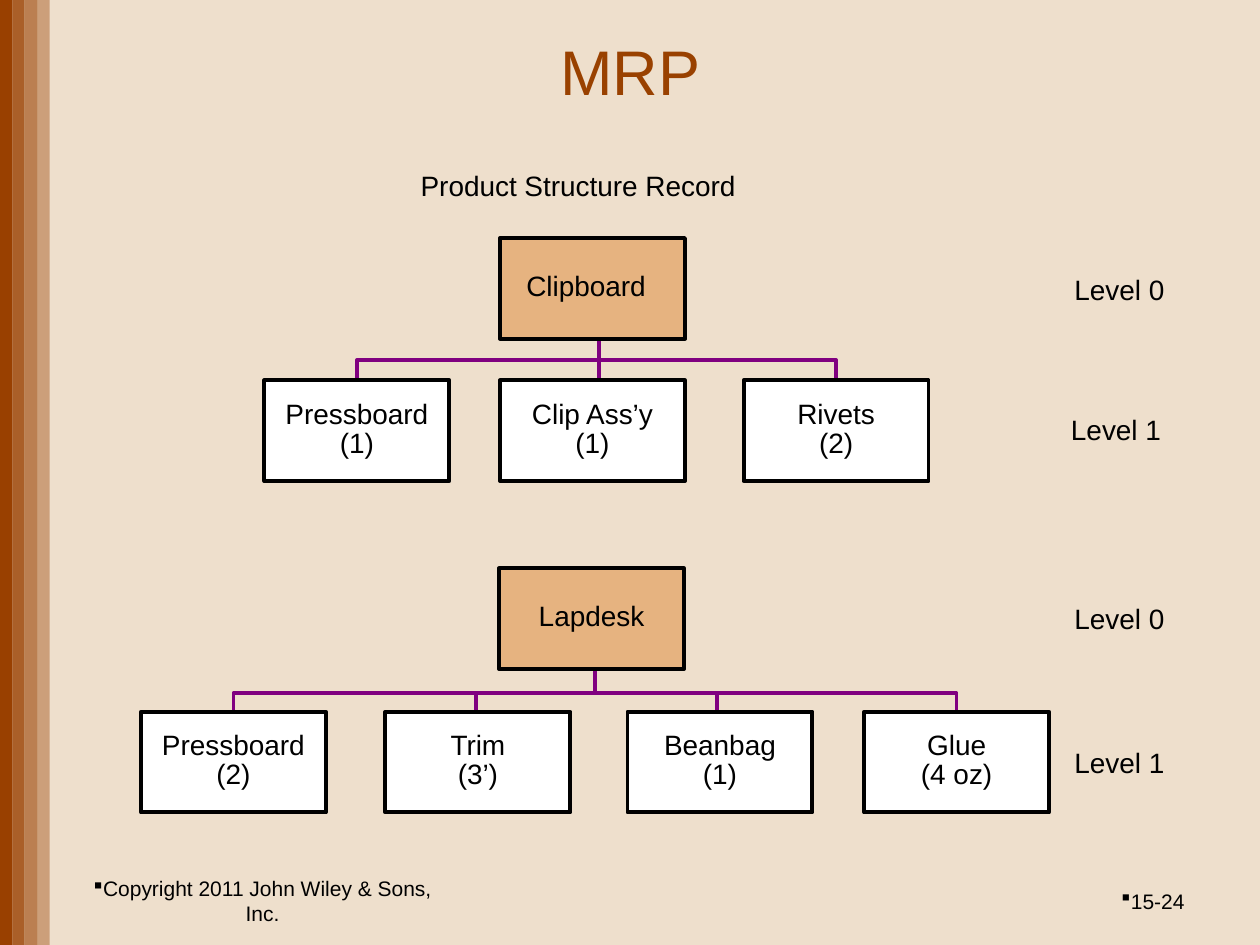
from lxml import etree
from pptx import Presentation
from pptx.dml.color import RGBColor
from pptx.enum import shapes, text
from pptx.oxml.ns import qn
from pptx.util import Cm, Pt

COLORS = {
    "background": "EEDFCC", "stripe": "994000", "title": "994100", "text": "000000",
    "product": "E6B380", "part": "FFFFFF", "border": "000000", "branch": "800080",
}
FONT = "Arial"
BOX_W, BOX_H = 3.73, 2.03
STRIPE_W = 0.25
STRIPE_OPACITIES = [100, 80, 60, 40]

# Lengths in cm. Boxes: (left, label lines, label width, label shift)
TREES = [
    {"product": (10.08, ["Clipboard"], 2.95, -0.11), "product_top": 4.8,
     "parts": [(5.33, ["Pressboard", "(1)"], 3.43, 0),
               (10.08, ["Clip Ass’y", "(1)"], 2.97, 0),
               (14.99, ["Rivets", "(2)"], 2.08, 0)],
     "parts_top": 7.67, "bus": 7.26, "trunk": (12.07, 6.58, 8.03), "drops": []},
    {"product": (10.06, ["Lapdesk"], 2.67, 0), "product_top": 11.46,
     "parts": [(2.84, ["Pressboard", "(2)"], 3.43, 0),
               (7.77, ["Trim", "(3’)"], 1.63, 0),
               (12.65, ["Beanbag", "(1)"], 2.79, 0),
               (17.42, ["Glue", "(4 oz)"], 2.01, 0)],
     "parts_top": 14.35, "bus": 13.97, "trunk": (11.99, 13.03, 13.97),
     "drops": [9.6, 14.45]},
]
LEVELS = [("Level 0", 21.41, 5.36), ("Level 1", 21.34, 8.2),
          ("Level 0", 21.41, 12.01), ("Level 1", 21.41, 14.91)]
FOOTERS = [("Copyright 2011 John Wiley & Sons, Inc.", 1.27, 8.05, text.PP_ALIGN.CENTER),
           ("15-24", 18.21, 5.92, text.PP_ALIGN.RIGHT)]


def color(name):
    return RGBColor.from_string(COLORS[name])


def style(paragraph, size, align, color_name="text", spacing=None):
    paragraph.alignment = align
    if spacing:
        paragraph.line_spacing = spacing
    paragraph.font.name = FONT
    paragraph.font.size = Pt(size)
    paragraph.font.color.rgb = color(color_name)


def add_label(slide, lines, left, top, width, height, align=text.PP_ALIGN.LEFT, spacing=0.85):
    frame = slide.shapes.add_textbox(Cm(left), Cm(top), Cm(width), Cm(height)).text_frame
    frame.word_wrap = False
    frame.text = "\n".join(lines)
    for paragraph in frame.paragraphs:
        style(paragraph, 16, align, spacing=spacing)


def add_box(slide, box, top, fill):
    left, lines, label_width, shift = box
    rect = slide.shapes.add_shape(shapes.MSO_SHAPE.RECTANGLE,
                                  Cm(left), Cm(top), Cm(BOX_W), Cm(BOX_H))
    rect.shadow.inherit = False
    rect.fill.solid()
    rect.fill.fore_color.rgb = color(fill)
    rect.line.color.rgb = color("border")
    rect.line.width = Pt(2.25)
    label_height = 0.84 if len(lines) == 1 else 1.42
    align = text.PP_ALIGN.LEFT if shift else text.PP_ALIGN.CENTER
    add_label(slide, lines, left + (BOX_W - label_width) / 2 + shift,
              top + (BOX_H - label_height) / 2, label_width, label_height, align)


def style_branch(branch):
    branch.line.color.rgb = color("branch")
    branch.line.width = Pt(2)


def add_vertical(slide, x, top, bottom):
    line = slide.shapes.add_connector(shapes.MSO_CONNECTOR.STRAIGHT,
                                      Cm(x), Cm(top), Cm(x), Cm(bottom))
    style_branch(line)
    etree.SubElement(line._element.spPr, qn("a:effectLst"))


def add_branches(slide, tree):
    first, last = (tree["parts"][i][0] + BOX_W / 2 for i in (0, -1))
    bus, end = tree["bus"], tree["parts_top"] + 0.2
    for x in tree["drops"]:
        add_vertical(slide, x, bus, end)
    add_vertical(slide, *tree["trunk"])
    builder = slide.shapes.build_freeform(Cm(first), Cm(end))
    builder.add_line_segments([(Cm(first), Cm(bus)), (Cm(last), Cm(bus)),
                               (Cm(last), Cm(end))], close=False)
    bracket = builder.convert_to_shape()
    bracket.shadow.inherit = False
    bracket.fill.background()
    style_branch(bracket)


def add_stripes(slide):
    for i, opacity in enumerate(STRIPE_OPACITIES):
        stripe = slide.shapes.add_shape(shapes.MSO_SHAPE.RECTANGLE, Cm(i * STRIPE_W), 0,
                                        Cm(STRIPE_W), Cm(19.05))
        stripe.shadow.inherit = False
        stripe.line.fill.background()
        stripe.fill.solid()
        stripe.fill.fore_color.rgb = color("stripe")
        if opacity < 100:
            rgb = stripe._element.spPr.find(".//" + qn("a:srgbClr"))
            etree.SubElement(rgb, qn("a:alpha"), val=str(opacity * 1000))


def add_footer(slide, words, left, width, align):
    frame = slide.shapes.add_textbox(Cm(left), Cm(17.65), Cm(width), Cm(1.02)).text_frame
    frame.word_wrap = True
    frame.vertical_anchor = text.MSO_ANCHOR.MIDDLE
    frame.text = words
    paragraph = frame.paragraphs[0]
    properties = paragraph._p.get_or_add_pPr()
    properties.set("marL", "0")
    properties.set("indent", "0")
    etree.SubElement(properties, qn("a:buFont"), typeface="Wingdings")
    etree.SubElement(properties, qn("a:buChar"), char="§")
    style(paragraph, 12, align)


def main():
    deck = Presentation()
    deck.slide_width, deck.slide_height = Cm(25.4), Cm(19.05)
    slide = deck.slides.add_slide(deck.slide_layouts[5])
    slide.background.fill.solid()
    slide.background.fill.fore_color.rgb = color("background")
    add_stripes(slide)

    title = slide.shapes.title
    title.left, title.top, title.width, title.height = Cm(4.45), Cm(0.33), Cm(16.51), Cm(2.16)
    title.text_frame.text = "MRP"
    title.text_frame.vertical_anchor = text.MSO_ANCHOR.MIDDLE
    style(title.text_frame.paragraphs[0], 36, text.PP_ALIGN.CENTER, "title")

    for footer in FOOTERS:
        add_footer(slide, *footer)
    add_label(slide, ["Product Structure Record"], 8.23, 3.38, 6.96, 0.84)
    for tree in TREES:
        add_branches(slide, tree)
        add_box(slide, tree["product"], tree["product_top"], "product")
        for part in tree["parts"]:
            add_box(slide, part, tree["parts_top"], "part")
    for level, left, top in LEVELS:
        add_label(slide, [level], left, top, 2.34, 0.94, spacing=None)
    deck.save("out.pptx")


if __name__ == "__main__":
    main()
